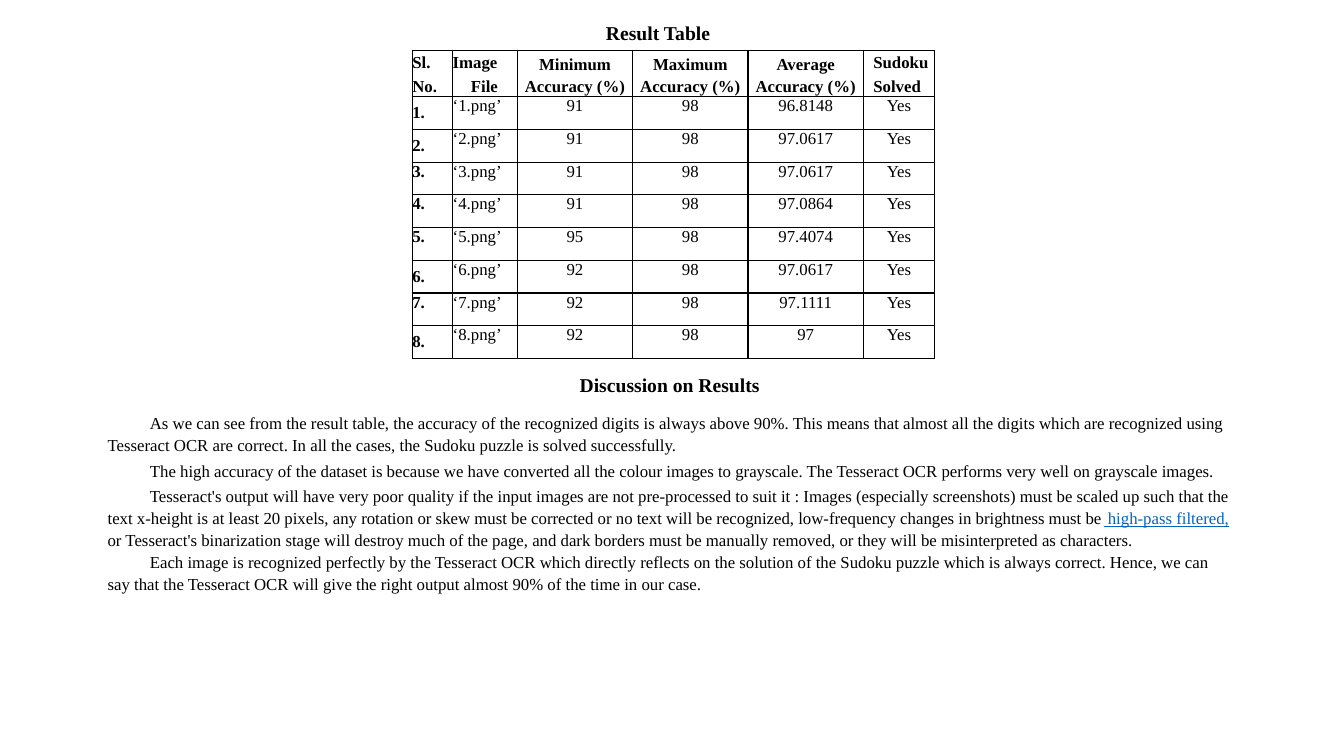
"""Build the slide with the result table and its discussion."""
from lxml import etree
from pptx import Presentation
from pptx.dml.color import RGBColor
from pptx.enum.text import MSO_ANCHOR, MSO_AUTO_SIZE, PP_ALIGN
from pptx.oxml.ns import qn
from pptx.util import Pt

LEFT, MID = PP_ALIGN.LEFT, PP_ALIGN.CENTER
TOP, CENTRE, BASE = MSO_ANCHOR.TOP, MSO_ANCHOR.MIDDLE, MSO_ANCHOR.BOTTOM
GROW = MSO_AUTO_SIZE.SHAPE_TO_FIT_TEXT
FONT = "Times New Roman"
INK = {"text": "000000", "link": "0563C1"}

COLS = [28.9, 46.1, 82.5, 82.3, 82.6, 50.7]
HEAD_H, ROW_H = 33, 23.4
HEADS = [
    (["Sl.", "No."], {}),
    (["Image", "File"], {"shift": [0, 13]}),
    (["Minimum Accuracy (%)"], {"line": 16.1}),
    (["Maximum Accuracy (%)"], {"line": 16.1}),
    (["Average Accuracy (%)"], {"line": 15.8}),
    (["Sudoku", "Solved"], {"shift": [7, 7]}),
]
SCORES = [
    (91, 98, "96.8148"), (91, 98, "97.0617"), (91, 98, "97.0617"),
    (91, 98, "97.0864"), (95, 98, "97.4074"), (92, 98, "97.0617"),
    (92, 98, "97.1111"), (92, 98, "97"),
]
LOW_ROWS = {1, 2, 6, 8}
LINK = " high-pass filtered,"
TALK = [
    (["As we can see from the result table, the accuracy of the recognized digits is "
      "always above 90%. This means that almost all the digits which are recognized "
      "using Tesseract OCR are correct. In all the cases, the Sudoku puzzle is solved "
      "successfully."], 15.8, 2.1),
    (["The high accuracy of the dataset is because we have converted all the colour "
      "images to grayscale. The Tesseract OCR performs very well on grayscale "
      "images."], 16.1, 2.1),
    (["Tesseract's output will have very poor quality if the input images are not "
      "pre-processed to suit it : Images (especially screenshots) must be scaled up "
      "such that the text x-height is at least 20 pixels, any rotation or skew must be "
      "corrected or no text will be recognized, low-frequency changes in brightness "
      "must be", LINK,
      " or Tesseract's binarization stage will destroy much of the page, and dark "
      "borders must be manually removed, or they will be misinterpreted as "
      "characters."], 15.8, 0),
    (["Each image is recognized perfectly by the Tesseract OCR which directly reflects "
      "on the solution of the Sudoku puzzle which is always correct. Hence, we can say "
      "that the Tesseract OCR will give the right output almost 90% of the time in our "
      "case."], 15.8, 0),
]


def paint(font, ink):
    """Colour a font."""
    font.color.rgb = RGBColor.from_string(INK[ink])


def write(para, parts, size=12, bold=False, align=LEFT, line=None,
          before=0, after=0, margin=0, first=0):
    """Fill and format one paragraph."""
    for part in parts:
        run = para.add_run()
        run.text = part
        if part == LINK:
            paint(run.font, "link")
            run.font.underline = True
        else:
            paint(run.font, "text")
    font = para.font
    font.name, font.size, font.bold = FONT, Pt(size), bold
    para.alignment = align
    para.space_before, para.space_after = Pt(before), Pt(after)
    if line:
        para.line_spacing = Pt(line)
    props = para._p.get_or_add_pPr()
    props.set("marL", str(Pt(margin)))
    props.set("indent", str(Pt(first)))


def add_box(slide, left, top, width, height):
    """Add a wrapping text box and return its frame."""
    frame = slide.shapes.add_textbox(Pt(left), Pt(top), Pt(width), Pt(height)).text_frame
    frame.word_wrap = True
    frame.auto_size = GROW
    return frame


def frame_cell(cell, anchor):
    """Give a cell black borders, no fill and no margins."""
    props = cell._tc.get_or_add_tcPr()
    for side in ("lnL", "lnR", "lnT", "lnB"):
        edge = etree.SubElement(props, qn("a:" + side), w=str(Pt(1)))
        fill = etree.SubElement(edge, qn("a:solidFill"))
        etree.SubElement(fill, qn("a:srgbClr"), val=INK["text"])
    cell.fill.background()
    cell.margin_left = cell.margin_right = cell.margin_top = cell.margin_bottom = 0
    cell.vertical_anchor = anchor


def fill_head(cell, lines, shift=(0, 0), line=None):
    """Write a header cell, one paragraph for each line."""
    frame_cell(cell, BASE)
    frame = cell.text_frame
    for i, text in enumerate(lines):
        para = frame.add_paragraph() if i else frame.paragraphs[0]
        write(para, [text], bold=True, align=MID if line else LEFT, line=line,
              after=4.2 if i < len(lines) - 1 else 0, margin=shift[i])


def add_grid(slide):
    """Add the result table."""
    height = HEAD_H + ROW_H * len(SCORES)
    table = slide.shapes.add_table(len(SCORES) + 1, len(COLS), Pt(294.5), Pt(36),
                                   Pt(sum(COLS)), Pt(height)).table
    table.first_row = table.horz_banding = False
    for col, width in zip(table.columns, COLS):
        col.width = Pt(width)
    for i, row in enumerate(table.rows):
        row.height = Pt(ROW_H if i else HEAD_H)
    for c, (lines, style) in enumerate(HEADS):
        fill_head(table.cell(0, c), lines, **style)
    for r, score in enumerate(SCORES, 1):
        for c, value in enumerate((f"{r}.", f"‘{r}.png’", *score, "Yes")):
            cell = table.cell(r, c)
            frame_cell(cell, CENTRE if c == 0 and r in LOW_ROWS else TOP)
            write(cell.text_frame.paragraphs[0], [str(value)], bold=c == 0,
                  align=MID if c > 1 else LEFT)


def add_talk(slide):
    """Add the discussion below the table."""
    frame = add_box(slide, 69.8, 262.8, 817.2, 168.5)
    write(frame.paragraphs[0], ["Discussion on Results"], size=14, bold=True,
          align=MID, before=14.7, after=10.5)
    for parts, line, after in TALK:
        write(frame.add_paragraph(), parts, line=line, after=after, first=30.2)


def main():
    """Build and save the slide."""
    deck = Presentation()
    deck.slide_width, deck.slide_height = Pt(960), Pt(540)
    slide = deck.slides.add_slide(deck.slide_layouts[6])
    title = add_box(slide, 69.8, 11.5, 800.6, 24.5)
    write(title.paragraphs[0], ["Result Table"], size=14, bold=True, align=MID)
    add_grid(slide)
    add_talk(slide)
    deck.save("out.pptx")


if __name__ == "__main__":
    main()
